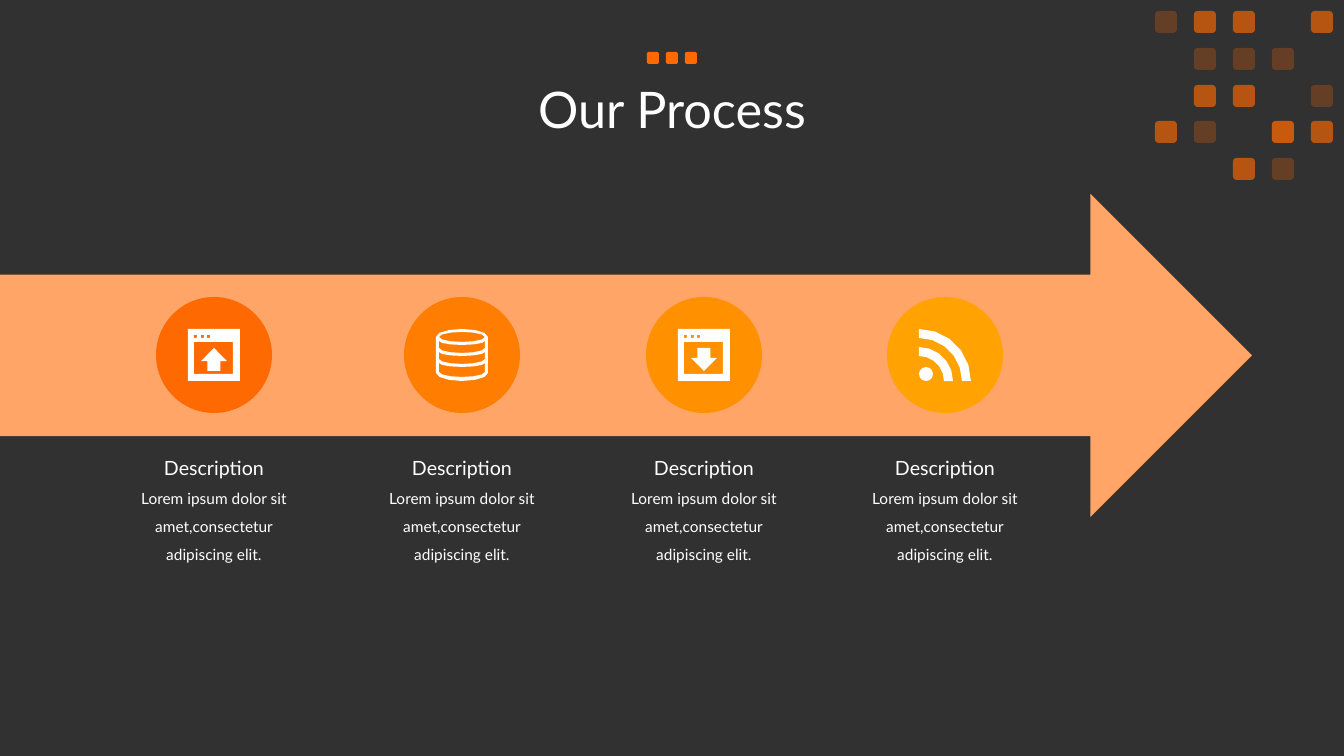
import math

from lxml import etree
from pptx import Presentation
from pptx.dml.color import RGBColor
from pptx.enum.shapes import MSO_SHAPE
from pptx.enum.text import MSO_ANCHOR, MSO_AUTO_SIZE, PP_ALIGN
from pptx.oxml.ns import qn
from pptx.util import Pt

ELLIPSE = MSO_SHAPE.OVAL
ROUNDED = MSO_SHAPE.ROUNDED_RECTANGLE
BIG_ARROW = MSO_SHAPE.NOTCHED_RIGHT_ARROW
UP_ARROW = MSO_SHAPE.UP_ARROW
DOWN_ARROW = MSO_SHAPE.DOWN_ARROW
CENTER = PP_ALIGN.CENTER
TOP = MSO_ANCHOR.TOP
MIDDLE = MSO_ANCHOR.MIDDLE
NO_FIT = MSO_AUTO_SIZE.NONE
GROW = MSO_AUTO_SIZE.SHAPE_TO_FIT_TEXT

CHARCOAL = RGBColor(0x31, 0x31, 0x31)
WHITE = RGBColor(0xFF, 0xFF, 0xFF)
ORANGE = RGBColor(0xFE, 0x69, 0x02)
PEACH = RGBColor(0xFE, 0xA5, 0x67)
TANGERINE = RGBColor(0xFF, 0x7D, 0x01)
AMBER = RGBColor(0xFF, 0x90, 0x00)
GOLD = RGBColor(0xFF, 0xA2, 0x02)

FONT = "Lato"
EMU_PER_PX = 914400 / 100.8
ICON = 52
TILE_ROWS = ("dbb.b", ".ddd.", ".bb.d", "bd.sb", "..bd.")
TILE_OPACITIES = {"d": (25,), "b": (65,), "s": (65, 25), ".": ()}


def px(length):
    return round(length * EMU_PER_PX)


def paint(shape, color, opacity=100):
    shape.shadow.inherit = False
    shape.fill.solid()
    shape.fill.fore_color.rgb = color
    shape.line.fill.background()
    if opacity < 100:
        fill_color = shape.element.spPr.find(".//" + qn("a:srgbClr"))
        etree.SubElement(fill_color, qn("a:alpha"), val=str(opacity * 1000))


def add_preset(slide, kind, left, top, width, height, color, opacity=100):
    shape = slide.shapes.add_shape(kind, px(left), px(top), px(width), px(height))
    paint(shape, color, opacity)
    return shape


def add_outline(slide, left, top, contours, color):
    placed = [[(px(left + x), px(top + y)) for x, y in contour] for contour in contours]
    builder = slide.shapes.build_freeform(*placed[0][0], scale=1.0)
    builder.add_line_segments(placed[0][1:], close=True)
    for contour in placed[1:]:
        builder.move_to(*contour[0])
        builder.add_line_segments(contour[1:], close=True)
    paint(builder.convert_to_shape(), color)


def write(frame, text, size, spacing=1.0, anchor=TOP, wrap=True, fit=GROW):
    frame.word_wrap = wrap
    frame.auto_size = fit
    frame.vertical_anchor = anchor
    frame.text = text
    paragraph = frame.paragraphs[0]
    paragraph.alignment = CENTER
    paragraph.line_spacing = spacing
    font = paragraph.runs[0].font
    font.name = FONT
    font.size = Pt(size)
    font.color.rgb = WHITE


def add_label(slide, text, left, top, width, height, **text_format):
    box = slide.shapes.add_textbox(px(left), px(top), px(width), px(height))
    write(box.text_frame, text, **text_format)


def rectangle(left, top, right, bottom):
    return [(left, top), (right, top), (right, bottom), (left, bottom)]


def arc(center_x, center_y, radius_x, radius_y, start, end, steps=6):
    angles = [math.radians(start + (end - start) * i / steps) for i in range(steps + 1)]
    return [(center_x + radius_x * math.cos(a), center_y + radius_y * math.sin(a))
            for a in angles]


def draw_window(slide, left, top, arrow_kind):
    buttons = [rectangle(x, 6, x + 3, 9) for x in (6, 13, 19)]
    pane = rectangle(6, 13, 45, 45)
    frame = rectangle(0, 0, ICON, ICON)
    add_outline(slide, left, top, [frame, *buttons, pane], WHITE)
    arrow = add_preset(slide, arrow_kind, left + 13, top + 19, 26, 23, WHITE)
    arrow.adjustments[0] = 0.5
    arrow.adjustments[1] = 0.57


def draw_upload(slide, left, top):
    draw_window(slide, left, top, UP_ARROW)


def draw_download(slide, left, top):
    draw_window(slide, left, top, DOWN_ARROW)


def draw_database(slide, left, top):
    middle = ICON // 2
    body = arc(middle, 8, 26, 8, 180, 360) + arc(middle, 44, 26, 8, 0, 180)
    lid = arc(middle, 8, 23, 5, 0, 360, steps=12)
    bands = [arc(middle, upper, 23, 4, 180, 0) + arc(middle, lower, 23, 5, 0, 180)
             for upper, lower in ((12, 19), (23, 30), (34, 43))]
    add_outline(slide, left, top, [body, lid, *bands], WHITE)


def draw_feed(slide, left, top):
    add_preset(slide, ELLIPSE, left, top + 38, 14, 14, WHITE)
    for inner, outer in ((25, 34), (43, 52)):
        wave = (arc(0, ICON, outer, outer, -90, 0, steps=5)
                + arc(0, ICON, inner, inner, 0, -90, steps=5))
        add_outline(slide, left, top, [wave], WHITE)


def add_heading(slide, left, top, width, height):
    title = slide.shapes.title
    title.left, title.top = px(left), px(top)
    title.width, title.height = px(width), px(height)
    write(title.text_frame, "Our Process", size=36, spacing=0.9, anchor=MIDDLE, fit=NO_FIT)
    for index in range(3):
        add_preset(slide, ROUNDED, left + 554 + 19 * index, top + 13, 12, 12, ORANGE)


def add_tiles(slide, left, top, width, height, size=22):
    last = len(TILE_ROWS) - 1
    for row, pattern in enumerate(TILE_ROWS):
        for column, mark in enumerate(pattern):
            x = left + round((width - size) * column / last)
            y = top + round((height - size) * row / last)
            for opacity in TILE_OPACITIES[mark]:
                add_preset(slide, ROUNDED, x, y, size, size, ORANGE, opacity)


def add_step(slide, center, top, color, draw_icon, circle=116):
    add_preset(slide, ELLIPSE, center - circle // 2, top, circle, circle, color)
    draw_icon(slide, center - ICON // 2, top + (circle - ICON) // 2)
    add_label(slide, "Description", center - 63, top + 154, 126, 34, size=14, wrap=False)
    add_label(slide, "Lorem ipsum dolor sit amet,consectetur adipiscing elit.",
              center - 100, top + 178, 200, 91, size=11, spacing=1.5)


def add_process(slide, left, top, width, height):
    add_preset(slide, BIG_ARROW, left, top, width, height, PEACH)
    steps = ((296, ORANGE, draw_upload), (544, TANGERINE, draw_database),
             (786, AMBER, draw_download), (1027, GOLD, draw_feed))
    for offset, color, draw_icon in steps:
        add_step(slide, left + offset, top + 103, color, draw_icon)


def main():
    deck = Presentation()
    deck.slide_width, deck.slide_height = px(1344), px(756)
    slide = deck.slides.add_slide(deck.slide_layouts[5])
    slide.background.fill.solid()
    slide.background.fill.fore_color.rgb = CHARCOAL
    add_heading(slide, 93, 39, 1158, 146)
    add_tiles(slide, 1155, 11, 178, 169)
    add_process(slide, -82, 194, 1334, 323)
    deck.save("out.pptx")


if __name__ == "__main__":
    main()
